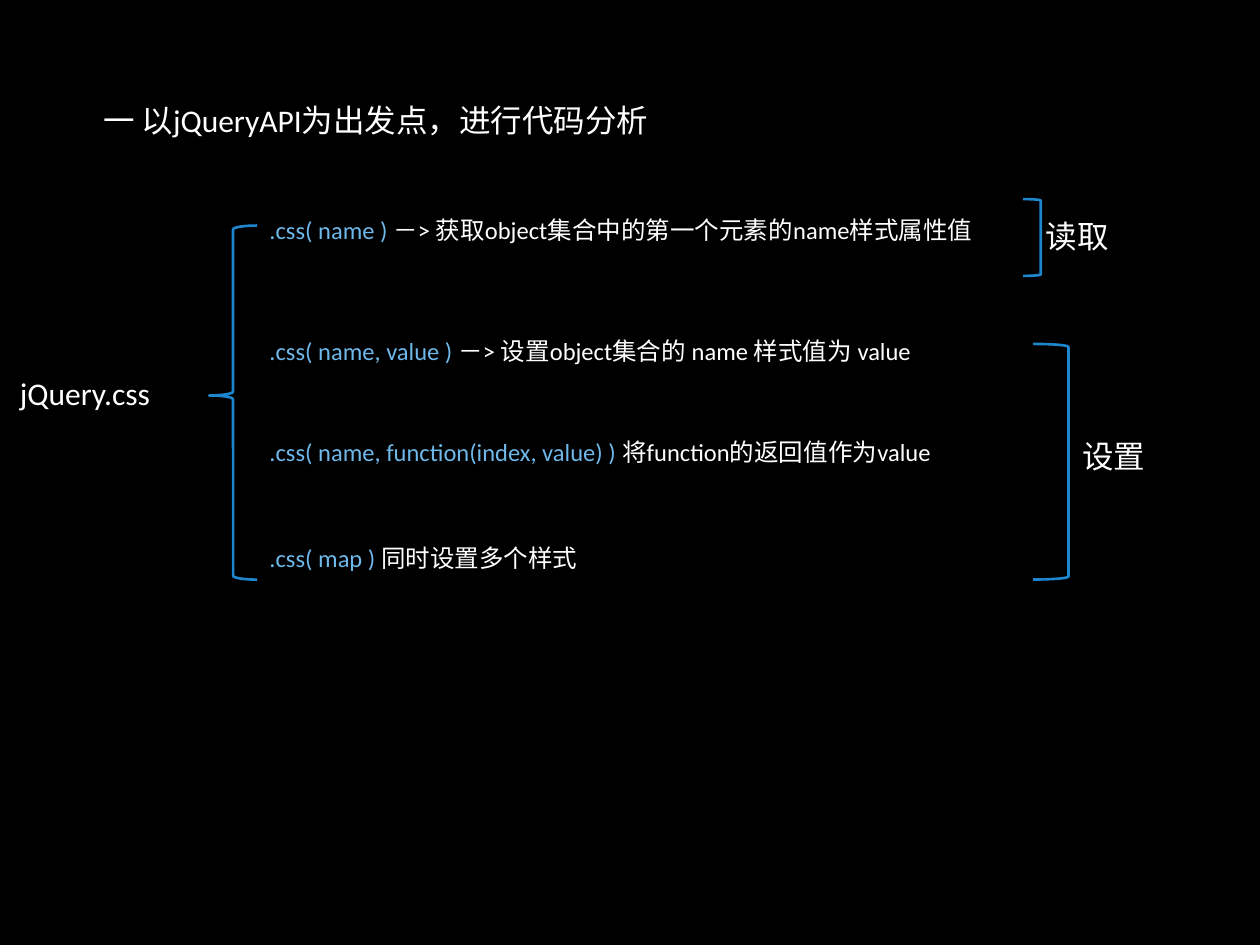
from pptx import Presentation
from pptx.dml.color import RGBColor
from pptx.enum.shapes import MSO_SHAPE
from pptx.enum.text import MSO_AUTO_SIZE
from pptx.util import Inches, Pt

BRACE = MSO_SHAPE.LEFT_BRACE
BRACKET = MSO_SHAPE.RIGHT_BRACKET
GROW = MSO_AUTO_SIZE.SHAPE_TO_FIT_TEXT

WIDTH, HEIGHT = Inches(10), Inches(7.5)
COLS, ROWS = 100, 75
COLORS = {"back": "000000", "text": "FFFFFF", "code": "6EB8EA", "line": "1D86CD"}
FONT = "Calibri"
CODE_COL = 20.4

# row, width, wrap, code, meaning
CALLS = [
    (16.6, 78.9, True, ".css( name ) ", "－> 获取object集合中的第一个元素的name样式属性值"),
    (26.2, 60.9, False, ".css( name, value ) ", "－> 设置object集合的 name 样式值为 value"),
    (34.2, 64.8, False, ".css( name, function(index, value) ) ", "将function的返回值作为value"),
    (42.6, 29.5, False, ".css( map ) ", "同时设置多个样式"),
]
# column, row, width, height, text
LABELS = [
    (7.2, 7.5, 48, 4, "一 以jQueryAPI为出发点，进行代码分析"),
    (0.6, 29.2, 13.1, 7.1, "jQuery.css"),
    (84.9, 34.2, 7.1, 4, "设置"),
    (82, 16.7, 7.1, 4, "读取"),
]
# shape, column, row, width, height, adjustments
BRACES = [
    (BRACE, 16.6, 17.9, 3.8, 28.1, (0.08, 0.48)),
    (BRACKET, 82, 27.3, 2.8, 18.7, ()),
    (BRACKET, 81.2, 15.8, 1.4, 6.1, ()),
]


def color(name):
    return RGBColor.from_string(COLORS[name])


def place(col, row, wide, high):
    """Turn grid columns and rows into slide lengths."""
    return (int(WIDTH * col / COLS), int(HEIGHT * row / ROWS),
            int(WIDTH * wide / COLS), int(HEIGHT * high / ROWS))


def add_text(slide, box, parts, size, wrap=False):
    """Add one line of text made of (text, colour name) parts."""
    frame = slide.shapes.add_textbox(*place(*box)).text_frame
    frame.word_wrap = wrap
    frame.auto_size = GROW
    para = frame.paragraphs[0]
    para.font.size = Pt(size)
    para.font.name = FONT
    for text, hue in parts:
        run = para.add_run()
        run.text = text
        run.font.color.rgb = color(hue)


def add_brace(slide, kind, box, adjust):
    shape = slide.shapes.add_shape(kind, *place(*box))
    shape.shadow.inherit = False
    shape.fill.background()
    shape.line.color.rgb = color("line")
    shape.line.width = Pt(1.5)
    for index, value in enumerate(adjust):
        shape.adjustments[index] = value


def main():
    deck = Presentation()
    deck.slide_width, deck.slide_height = WIDTH, HEIGHT
    slide = deck.slides.add_slide(deck.slide_layouts[6])
    fill = slide.background.fill
    fill.solid()
    fill.fore_color.rgb = color("back")

    for row, wide, wrap, code, note in CALLS:
        parts = [(code, "code"), (note, "text")]
        add_text(slide, (CODE_COL, row, wide, 3.4), parts, 14, wrap)
    for kind, *box, adjust in BRACES:
        add_brace(slide, kind, box, adjust)
    for *box, text in LABELS:
        add_text(slide, box, [(text, "text")], 18)

    deck.save("out.pptx")


if __name__ == "__main__":
    main()
